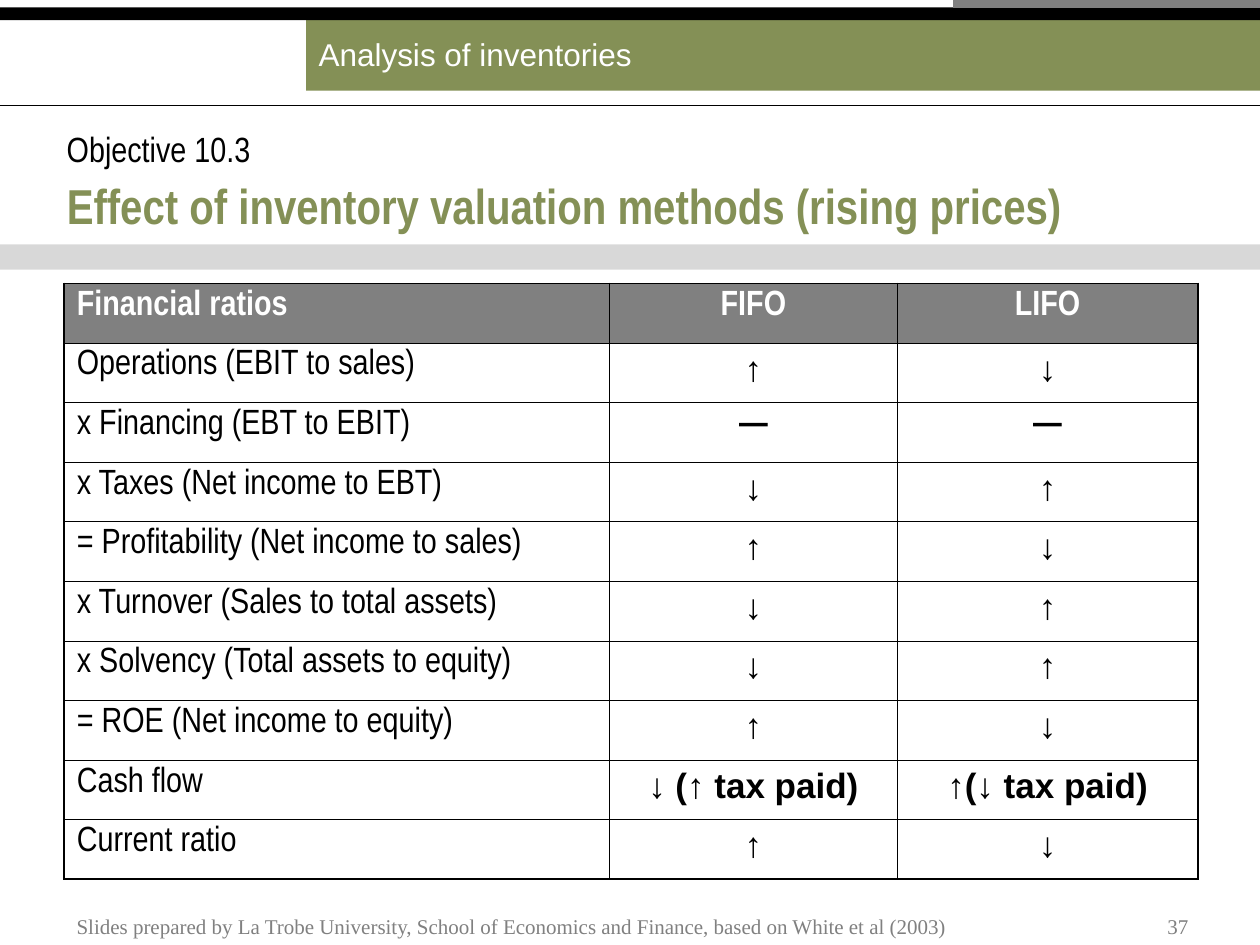
from dataclasses import dataclass

from lxml.etree import SubElement
from pptx import Presentation
from pptx.dml.color import RGBColor
from pptx.enum.shapes import MSO_CONNECTOR, MSO_SHAPE
from pptx.enum.text import MSO_ANCHOR, MSO_AUTO_SIZE, PP_ALIGN
from pptx.oxml.ns import qn
from pptx.util import Inches, Pt


@dataclass(frozen=True)
class Theme:
    olive: RGBColor = RGBColor(0x84, 0x90, 0x56)
    gray: RGBColor = RGBColor(0x80, 0x80, 0x80)
    black: RGBColor = RGBColor(0, 0, 0)
    white: RGBColor = RGBColor(0xFF, 0xFF, 0xFF)
    sans: str = "Arial"
    narrow: str = "Arial Narrow"
    serif: str = "Times New Roman"
    title: Pt = Pt(28)
    body: Pt = Pt(20)
    banner: Pt = Pt(18)
    footer: Pt = Pt(12)
    thin: Pt = Pt(0.45)
    thick: Pt = Pt(1.08)


theme = Theme()


def write(frame, text, size, name, color, bold=False, align=PP_ALIGN.LEFT):
    frame.word_wrap = True
    paragraph = frame.paragraphs[0]
    paragraph.text = text
    paragraph.alignment = align
    font = paragraph.font
    font.size, font.name, font.bold = size, name, bold
    font.color.rgb = color


def set_border(cell, side, width):
    """Draw one black edge; sides must be added in the order L, R, T, B."""
    line = SubElement(cell._tc.get_or_add_tcPr(), qn(f"a:ln{side}"), w=str(int(width)))
    fill = SubElement(line, qn("a:solidFill"))
    SubElement(fill, qn("a:srgbClr"), val=str(theme.black))


presentation = Presentation()
presentation.slide_width, presentation.slide_height = Inches(10), Inches(7.5)
slide = presentation.slides.add_slide(presentation.slide_layouts[5])
shapes = slide.shapes

# Bands and rules around the heading
bands = []
for left, top, width, height, color in (
    (0, 1.94, 10, 0.2, theme.gray),
    (2.43, 0.13, 7.57, 0.59, theme.olive),
    (0, 0.06, 10, 0.1, theme.black),
):
    band = shapes.add_shape(
        MSO_SHAPE.RECTANGLE, Inches(left), Inches(top), Inches(width), Inches(height)
    )
    band.shadow.inherit = False
    band.fill.solid()
    band.fill.fore_color.rgb = color
    band.line.fill.background()
    bands.append(band)

divider, banner, _ = bands
divider_color = divider.fill._xPr.find(qn("a:solidFill"))[0]
SubElement(divider_color, qn("a:alpha"), val="30000")
banner.text_frame.vertical_anchor = MSO_ANCHOR.MIDDLE
write(banner.text_frame, "Analysis of inventories", theme.banner, theme.sans, theme.white)

for left, top, color, weight in (
    (7.56, 0.03, theme.gray, 5),
    (0, 0.84, theme.black, 0.75),
):
    rule = shapes.add_connector(
        MSO_CONNECTOR.STRAIGHT, Inches(left), Inches(top), Inches(10), Inches(top)
    )
    rule.line.color.rgb = color
    rule.line.width = Pt(weight)
    SubElement(rule._element.spPr, qn("a:effectLst"))

# Objective and title
title = shapes.title
title.left, title.top = Inches(0.51), Inches(1.47)
title.width, title.height = Inches(9.06), Inches(0.31)
objective = shapes.add_textbox(Inches(0.51), Inches(1.06), Inches(9.06), Inches(0.24))
for heading, text, size, color, bold in (
    (title, "Effect of inventory valuation methods (rising prices)",
     theme.title, theme.olive, True),
    (objective, "Objective 10.3", theme.body, theme.black, False),
):
    frame = heading.text_frame
    frame.auto_size = MSO_AUTO_SIZE.NONE
    frame.vertical_anchor = MSO_ANCHOR.MIDDLE
    frame.margin_left = frame.margin_right = Inches(0.02)
    frame.margin_top = frame.margin_bottom = 0
    write(frame, text, size, theme.narrow, color, bold)

# Ratio table
ratios = (
    ("Financial ratios", "FIFO", "LIFO"),
    ("Operations (EBIT to sales)", "↑", "↓"),
    ("x Financing (EBT to EBIT)", "―", "―"),
    ("x Taxes (Net income to EBT)", "↓", "↑"),
    ("= Profitability (Net income to sales)", "↑", "↓"),
    ("x Turnover (Sales to total assets)", "↓", "↑"),
    ("x Solvency (Total assets to equity)", "↓", "↑"),
    ("= ROE (Net income to equity)", "↑", "↓"),
    ("Cash flow", "↓ (↑ tax paid)", "↑(↓ tax paid)"),
    ("Current ratio", "↑", "↓"),
)
column_widths = (4.33, 2.28, 2.39)
last_row, last_column = len(ratios) - 1, len(column_widths) - 1
table = shapes.add_table(
    len(ratios), len(column_widths), Inches(0.51), Inches(2.25), Inches(9), Inches(4.73)
).table
table.first_row = table.horz_banding = False
for column, width in zip(table.columns, column_widths):
    column.width = Inches(width)

for r, row in enumerate(ratios):
    for c, text in enumerate(row):
        cell = table.cell(r, c)
        is_header, is_label = r == 0, c == 0
        outer_edges = {"L": is_label, "R": c == last_column,
                       "T": is_header, "B": r == last_row}
        for side, is_outer in outer_edges.items():
            set_border(cell, side, theme.thick if is_outer else theme.thin)
        if is_header:
            cell.fill.solid()
            cell.fill.fore_color.rgb = theme.gray
        else:
            cell.fill.background()
        write(
            cell.text_frame, text, theme.body,
            theme.narrow if is_header or is_label or text == "―" else theme.sans,
            theme.white if is_header else theme.black,
            bold=is_header or not is_label,
            align=PP_ALIGN.LEFT if is_label else PP_ALIGN.CENTER,
        )

# Footer
credit = ("Slides prepared by La Trobe University, School of Economics and Finance, "
          "based on White et al (2003)")
for text, left, top, width, height, align in (
    (credit, 0.51, 7.06, 8.27, 0.44, PP_ALIGN.LEFT),
    ("37", 8.83, 7.14, 0.7, 0.36, PP_ALIGN.RIGHT),
):
    footer = shapes.add_textbox(Inches(left), Inches(top), Inches(width), Inches(height))
    footer.text_frame.vertical_anchor = MSO_ANCHOR.BOTTOM
    write(footer.text_frame, text, theme.footer, theme.serif, theme.gray, align=align)

presentation.save("out.pptx")
